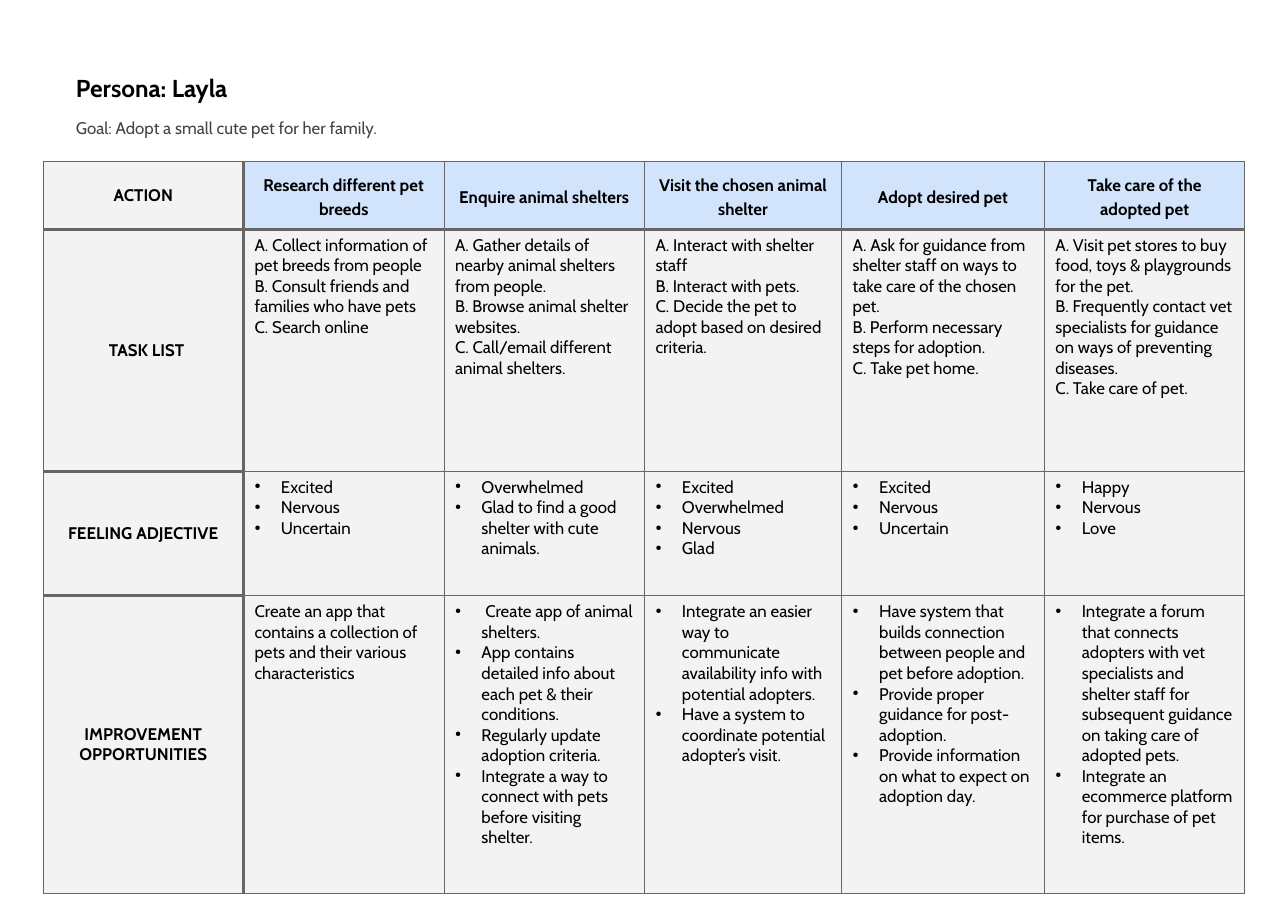
import lxml.etree
import pptx
import pptx.dml.color
import pptx.enum.text
import pptx.oxml.ns
import pptx.util

WIDE, HIGH = pptx.util.Inches(11.69), pptx.util.Inches(8.27)
FONT = "Cabin"
INK, SOFT, EDGE = "000000", "434343", "666666"
GREY, BLUE = "F3F3F3", "D2E3FC"
THIN, THICK = 0.74, 2.21
ALIGN = pptx.enum.text.PP_ALIGN
ANCHOR = pptx.enum.text.MSO_ANCHOR

# Boxes: left, top, width, height in percent of the slide
TITLE_BOX = (5.05, 6.77, 37.9, 7.13)
GOAL_BOX = (5.05, 11.85, 86.66, 4.72)
GRID_BOX = (3.34, 17.78, 93.33, 80.29)

# Relative widths of columns and heights of rows
COLS = (1.82, 1.82, 1.82, 1.79, 1.84, 1.82)
ROWS = (0.61, 2.2, 1.13, 2.7)

STEPS = ["Research different pet breeds", "Enquire animal shelters",
         "Visit the chosen animal shelter", "Adopt desired pet",
         "Take care of the adopted pet"]
TASKS = [
    ["A. Collect information of pet breeds from people",
     "B. Consult friends and families who have pets",
     "C. Search online"],
    ["A. Gather details of nearby animal shelters from people.",
     "B. Browse animal shelter websites.",
     "C. Call/email different animal shelters."],
    ["A. Interact with shelter staff",
     "B. Interact with pets.",
     "C. Decide the pet to adopt based on desired criteria."],
    ["A. Ask for guidance from shelter staff on ways to take care of the "
     "chosen pet.",
     "B. Perform necessary steps for adoption.",
     "C. Take pet home."],
    ["A. Visit pet stores to buy food, toys & playgrounds for the pet.",
     "B. Frequently contact vet specialists for guidance on ways of "
     "preventing diseases.",
     "C. Take care of pet."],
]
MOODS = [
    ["Excited", "Nervous", "Uncertain"],
    ["Overwhelmed", "Glad to find a good shelter with cute animals."],
    ["Excited", "Overwhelmed", "Nervous", "Glad"],
    ["Excited", "Nervous", "Uncertain"],
    ["Happy", "Nervous", "Love"],
]
IDEAS = [
    ["Create an app that contains a collection of pets and their various "
     "characteristics"],
    [" Create app of animal shelters.",
     "App contains detailed info about each pet & their conditions.",
     "Regularly update adoption criteria.",
     "Integrate a way to connect with pets before visiting shelter."],
    ["Integrate an easier way to communicate availability info with "
     "potential adopters.",
     "Have a system to coordinate potential adopter’s visit."],
    ["Have system that builds connection between people and pet before "
     "adoption.",
     "Provide proper guidance for post-adoption.",
     "Provide information on what to expect on adoption day."],
    ["Integrate a forum that connects adopters with vet specialists and "
     "shelter staff for subsequent guidance on taking care of adopted pets.",
     "Integrate an ecommerce platform for purchase of pet items."],
]
BODY = [("TASK LIST", TASKS), ("FEELING ADJECTIVE", MOODS),
        ("IMPROVEMENT OPPORTUNITIES", IDEAS)]


def paint(hue):
    """Turn a hex string into a colour."""
    return pptx.dml.color.RGBColor.from_string(hue)


def place(box):
    """Turn a box in percent of the slide into slide lengths."""
    return [round(part * side / 100)
            for part, side in zip(box, (WIDE, HIGH) * 2)]


def share(whole, parts):
    """Split a length in proportion to the given parts."""
    return [round(whole * part / sum(parts)) for part in parts]


def add(parent, tag, **attrs):
    """Append a drawing element with attributes."""
    return lxml.etree.SubElement(parent, pptx.oxml.ns.qn(tag), attrs)


def write(frame, lines, size=11, hue=INK, bold=False, align=ALIGN.LEFT,
          space=None, after=0, dots=False, indent=None):
    """Fill a text frame with one paragraph for each line."""
    frame.word_wrap = True
    for i, line in enumerate(lines):
        para = frame.add_paragraph() if i else frame.paragraphs[0]
        para.alignment = align
        para.space_after = pptx.util.Pt(after)
        if space:
            para.line_spacing = space
        run = para.add_run()
        run.text = line
        run.font.name, run.font.bold = FONT, bold
        run.font.size = pptx.util.Pt(size)
        run.font.color.rgb = paint(hue)
        props = para._p.get_or_add_pPr()
        if indent:
            left, first = indent
            props.set("marL", str(pptx.util.Inches(left)))
            props.set("indent", str(pptx.util.Inches(first)))
        if dots:
            add(add(props, "a:buClr"), "a:srgbClr", val=INK)
            add(props, "a:buSzPct", val="45000")
            add(props, "a:buChar", char="●")


def label(slide, box, text, **form):
    """Add a text box with even margins."""
    frame = slide.shapes.add_textbox(*place(box)).text_frame
    frame.margin_left = frame.margin_right = pptx.util.Inches(0.1)
    frame.margin_top = frame.margin_bottom = pptx.util.Inches(0.1)
    write(frame, [text], **form)


def edge(cell, row, col):
    """Draw the cell's borders, thick around the heading row and column."""
    last = len(ROWS) - 1
    heavy = {"L": col == 1, "R": col == 0,
             "T": row == 1 or (col == 0 and row > 0),
             "B": row == 0 or (col == 0 and row < last)}
    props = cell._tc.get_or_add_tcPr()
    for i, (side, thick) in enumerate(heavy.items()):
        width = pptx.util.Pt(THICK if thick else THIN)
        line = add(props, "a:ln" + side, w=str(width))
        add(add(line, "a:solidFill"), "a:srgbClr", val=EDGE)
        props.insert(i, line)


def fill(cell, row, col, lines, **form):
    """Style one cell and write its lines."""
    head = row == 0 or col == 0
    cell.fill.solid()
    cell.fill.fore_color.rgb = paint(BLUE if row == 0 and col else GREY)
    edge(cell, row, col)
    cell.margin_left = cell.margin_right = pptx.util.Inches(0.1)
    cell.margin_top = cell.margin_bottom = pptx.util.Inches(0.05)
    cell.vertical_anchor = ANCHOR.MIDDLE if head else ANCHOR.TOP
    write(cell.text_frame, lines, bold=head,
          align=ALIGN.CENTER if head else ALIGN.LEFT, **form)


def chart_path(slide, box):
    """Add the table of steps, tasks, moods and ideas."""
    left, top, width, height = place(box)
    grid = slide.shapes.add_table(len(ROWS), len(COLS), left, top,
                                  width, height).table
    for col, size in zip(grid.columns, share(width, COLS)):
        col.width = size
    for row, size in zip(grid.rows, share(height, ROWS)):
        row.height = size
    fill(grid.cell(0, 0), 0, 0, ["ACTION"])
    for col, step in enumerate(STEPS, 1):
        fill(grid.cell(0, col), 0, col, [step], space=1.15)
    for row, (name, cells) in enumerate(BODY, 1):
        shift = (0.19, -0.13) if cells is TASKS else None
        fill(grid.cell(row, 0), row, 0, [name], indent=shift)
        for col, lines in enumerate(cells, 1):
            dots = cells is MOODS or (cells is IDEAS and col > 1)
            fill(grid.cell(row, col), row, col, lines, dots=dots,
                 indent=(0.24, -0.24) if dots else None)


def build():
    """Build the slide and save the deck."""
    deck = pptx.Presentation()
    deck.slide_width, deck.slide_height = WIDE, HIGH
    slide = deck.slides.add_slide(deck.slide_layouts[6])
    label(slide, TITLE_BOX, "Persona: Layla", size=16, bold=True)
    label(slide, GOAL_BOX, "Goal: Adopt a small cute pet for her family.",
          hue=SOFT, after=3)
    chart_path(slide, GRID_BOX)
    deck.save("out.pptx")


build()
